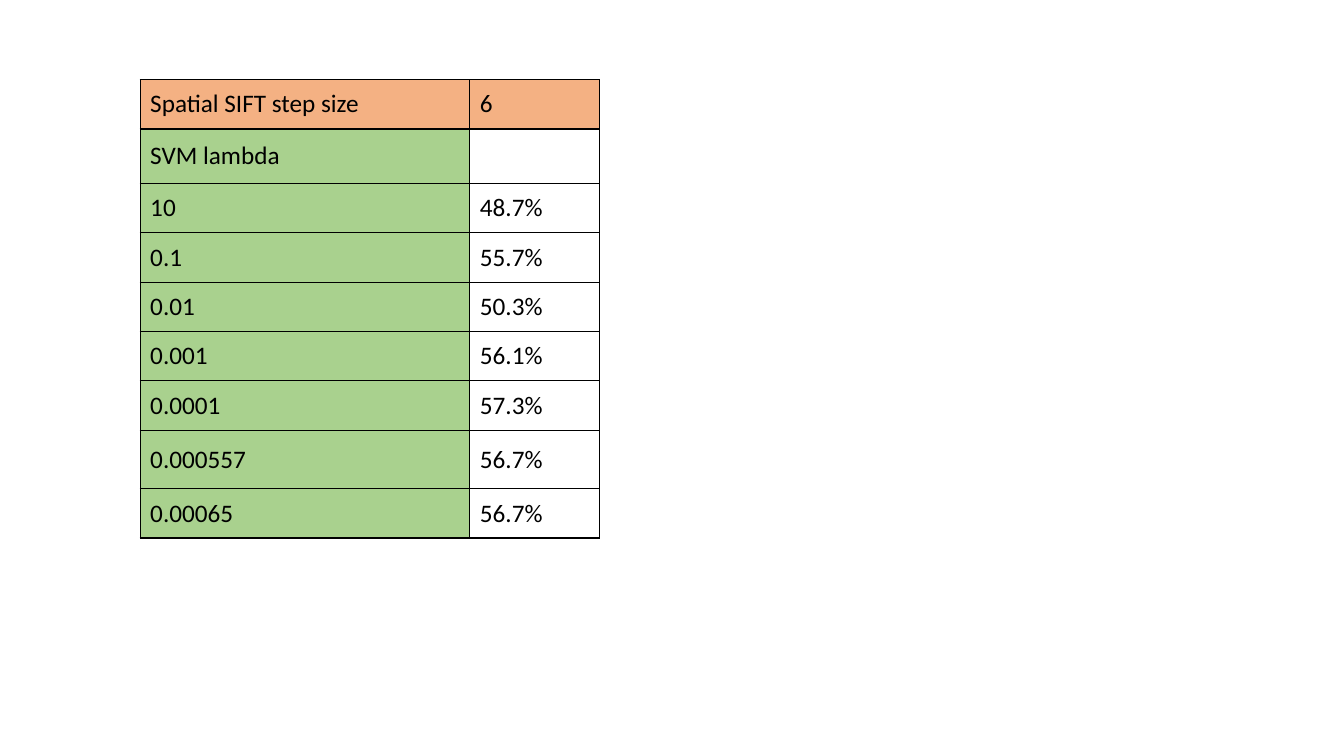
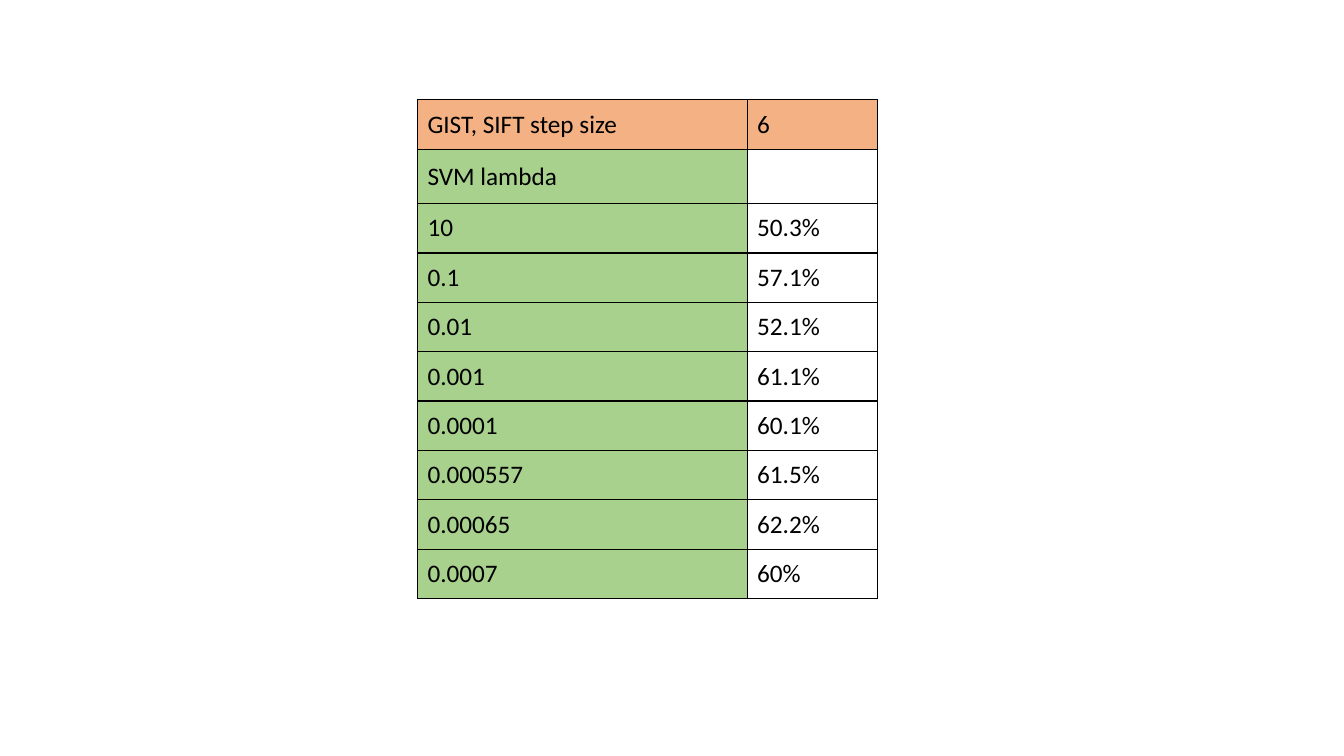
from lxml import etree
from pptx import Presentation
from pptx.dml.color import RGBColor
from pptx.enum.text import MSO_ANCHOR
from pptx.oxml.ns import qn
from pptx.util import Inches, Pt

MIDDLE = MSO_ANCHOR.MIDDLE
COLORS = {"header": "F4B183", "lambda": "A9D18E", "ink": "000000"}
FONT = {"name": "Calibri", "size": Pt(18), "bold": False}
COL_WIDTHS = (3.27, 1.29)
ROW_HEIGHT = 0.49
LABEL_ROW_HEIGHT = 0.54
LABEL_ROW = ("SVM lambda", "")
BORDER_SIDES = ("a:lnL", "a:lnR", "a:lnT", "a:lnB")

SPATIAL_ROWS = [
    ("Spatial SIFT step size", "6"), LABEL_ROW,
    ("10", "48.7%"), ("0.1", "55.7%"), ("0.01", "50.3%"),
    ("0.001", "56.1%"), ("0.0001", "57.3%"),
    ("0.000557", "56.7%"), ("0.00065", "56.7%"),
]
GIST_ROWS = [
    ("GIST, SIFT step size", "6"), LABEL_ROW,
    ("10", "50.3%"), ("0.1", "57.1%"), ("0.01", "52.1%"),
    ("0.001", "61.1%"), ("0.0001", "60.1%"),
    ("0.000557", "61.5%"), ("0.00065", "62.2%"), ("0.0007", "60%"),
]


def rgb(key):
    """Return the named palette colour."""
    return RGBColor.from_string(COLORS[key])


def add_borders(cell):
    """Draw a thin line on all four sides of a cell."""
    tc_pr = cell._tc.get_or_add_tcPr()
    for side in BORDER_SIDES:
        ln = etree.SubElement(tc_pr, qn(side), w=str(Pt(1)))
        fill = etree.SubElement(ln, qn("a:solidFill"))
        etree.SubElement(fill, qn("a:srgbClr"), val=COLORS["ink"])


def format_cell(cell, text, fill_key):
    """Set the text, border and fill of a cell; no key means no fill."""
    add_borders(cell)
    if fill_key:
        cell.fill.solid()
        cell.fill.fore_color.rgb = rgb(fill_key)
    else:
        cell.fill.background()
    cell.vertical_anchor = MIDDLE
    p = cell.text_frame.paragraphs[0]
    if text:
        p.add_run().text = text
    for name, value in FONT.items():
        for font in [p.font] + [r.font for r in p.runs]:
            setattr(font, name, value)
            font.color.rgb = rgb("ink")


def add_results_table(s, left, top, rows, heights):
    """Place a table of accuracy per SVM lambda at the given corner."""
    table = s.shapes.add_table(
        len(rows), len(COL_WIDTHS), Inches(left), Inches(top),
        Inches(sum(COL_WIDTHS)), Inches(sum(heights))).table
    for column, width in zip(table.columns, COL_WIDTHS):
        column.width = Inches(width)
    for i, (texts, height) in enumerate(zip(rows, heights)):
        table.rows[i].height = Inches(height)
        for j, text in enumerate(texts):
            fill_key = "header" if i == 0 else "lambda" if j == 0 else None
            format_cell(table.cell(i, j), text, fill_key)


def add_results_slide(prs, left, top, rows, special_heights=None):
    """Add a blank slide with one table; special_heights maps row to height."""
    s = prs.slides.add_slide(prs.slide_layouts[6])
    special = {1: LABEL_ROW_HEIGHT, **(special_heights or {})}
    heights = [special.get(i, ROW_HEIGHT) for i in range(len(rows))]
    add_results_table(s, left, top, rows, heights)


def main():
    """Build and save the deck."""
    prs = Presentation()
    prs.slide_width, prs.slide_height = Inches(13.33), Inches(7.5)
    add_results_slide(prs, 1.39, 0.79, SPATIAL_ROWS, {7: 0.58})
    add_results_slide(prs, 4.14, 0.99, GIST_ROWS)
    prs.save("out.pptx")


main()
